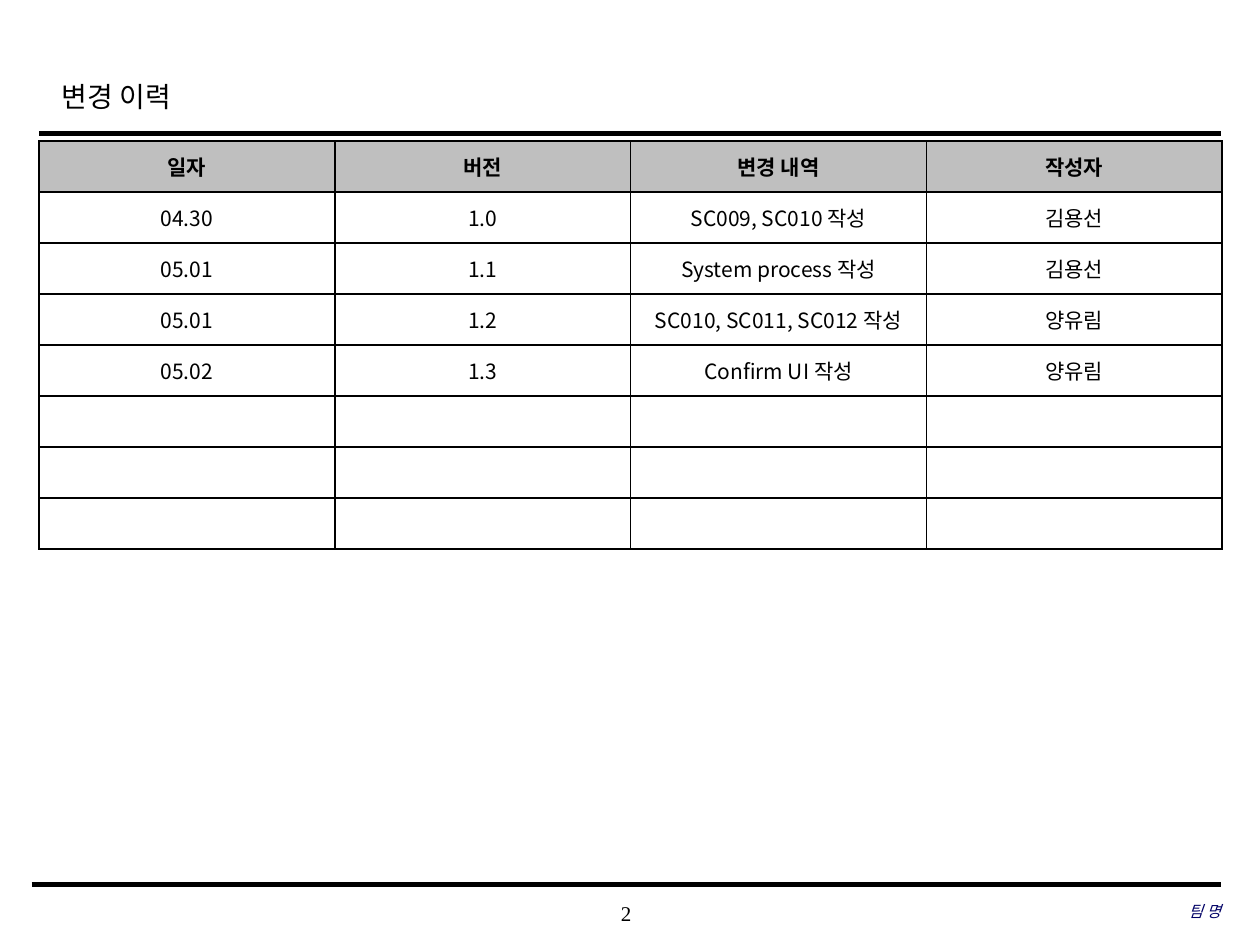
from lxml import etree
from pptx import Presentation
from pptx.dml.color import RGBColor
from pptx.enum.shapes import MSO_CONNECTOR
from pptx.enum.text import MSO_ANCHOR, PP_ALIGN
from pptx.oxml.ns import qn
from pptx.util import Inches, Pt

BLACK = RGBColor(0x00, 0x00, 0x00)
WHITE = RGBColor(0xFF, 0xFF, 0xFF)
HEADER_GRAY = RGBColor(0xBF, 0xBF, 0xBF)
NAVY = RGBColor(0x00, 0x00, 0x66)
LEFT, CENTER, RIGHT = PP_ALIGN.LEFT, PP_ALIGN.CENTER, PP_ALIGN.RIGHT
MIDDLE = MSO_ANCHOR.MIDDLE
STRAIGHT = MSO_CONNECTOR.STRAIGHT
TITLE_ONLY = 5

HISTORY = [
    ("일자", "버전", "변경 내역", "작성자"),
    ("04.30", "1.0", "SC009, SC010 작성", "김용선"),
    ("05.01", "1.1", "System process 작성", "김용선"),
    ("05.01", "1.2", "SC010, SC011, SC012 작성", "양유림"),
    ("05.02", "1.3", "Confirm UI 작성", "양유림"),
]
EMPTY_ROWS = [("",) * 4] * 3


class SlideBuilder:
    """Holds the current slide and its text style."""

    latin_font = "Times New Roman"
    korean_font = "Noto Sans CJK KR"

    def __init__(self, slide):
        """Start building on the given slide."""
        self.slide = slide

    def add_text(self, frame, text, size, align, color=BLACK, bold=False,
                 italic=False, font=None):
        """Add one styled run to the first paragraph of a text frame."""
        paragraph = frame.paragraphs[0]
        paragraph.alignment = align
        run = paragraph.add_run()
        run.text = text
        run.font.name = font or self.latin_font
        run.font.size = Pt(size)
        run.font.bold = bold
        run.font.italic = italic
        run.font.color.rgb = color
        east_asian = etree.Element(qn("a:ea"), typeface=self.korean_font)
        run.font._element.find(qn("a:latin")).addnext(east_asian)
        return paragraph

    def title(self, text, left, top, width, height):
        """Place and fill the title placeholder."""
        shape = self.slide.shapes.title
        shape.left, shape.top = Inches(left), Inches(top)
        shape.width, shape.height = Inches(width), Inches(height)
        shape.text_frame.vertical_anchor = MIDDLE
        paragraph = self.add_text(shape.text_frame, text, 16, LEFT)
        paragraph.line_spacing = 1.2

    def label(self, text, left, top, width, height, size, align, **style):
        """Add a text box without margins."""
        shape = self.slide.shapes.add_textbox(
            Inches(left), Inches(top), Inches(width), Inches(height))
        frame = shape.text_frame
        frame.word_wrap = True
        frame.vertical_anchor = MIDDLE
        frame.margin_left = frame.margin_right = 0
        frame.margin_top = frame.margin_bottom = 0
        self.add_text(frame, text, size, align, **style)

    def rule(self, left, right, top, weight):
        """Draw a horizontal black rule."""
        line = self.slide.shapes.add_connector(
            STRAIGHT, Inches(left), Inches(top), Inches(right), Inches(top))
        line.line.color.rgb = BLACK
        line.line.width = Pt(weight)
        etree.SubElement(line._element.spPr, qn("a:effectLst"))

    def border(self, cell):
        """Outline all four sides of a cell."""
        properties = cell._tc.get_or_add_tcPr()
        for index, side in enumerate(("a:lnL", "a:lnR", "a:lnT", "a:lnB")):
            line = etree.Element(qn(side), w=str(Pt(1)))
            fill = etree.SubElement(line, qn("a:solidFill"))
            etree.SubElement(fill, qn("a:srgbClr"), val=str(BLACK))
            properties.insert(index, line)

    def table(self, rows, left, top, width, height):
        """Add a bordered table with a gray header row."""
        table = self.slide.shapes.add_table(
            len(rows), len(rows[0]), Inches(left), Inches(top),
            Inches(width), Inches(height)).table
        for row_index, row in enumerate(rows):
            is_header = row_index == 0
            for column_index, text in enumerate(row):
                cell = table.cell(row_index, column_index)
                cell.vertical_anchor = MIDDLE
                cell.margin_top = cell.margin_bottom = Inches(0.02)
                cell.fill.solid()
                cell.fill.fore_color.rgb = HEADER_GRAY if is_header else WHITE
                self.border(cell)
                if text:
                    self.add_text(cell.text_frame, text, 12, CENTER,
                                  bold=is_header, font=self.korean_font)


def main():
    """Build the change history slide."""
    presentation = Presentation()
    presentation.slide_width = Inches(10)
    presentation.slide_height = Inches(7.5)
    layout = presentation.slide_layouts[TITLE_ONLY]
    builder = SlideBuilder(presentation.slides.add_slide(layout))

    builder.label("2", 3.93, 7.08, 2.08, 0.33, 12, CENTER)
    builder.rule(0.31, 9.69, 1.06, 2.5)
    builder.rule(0.25, 9.69, 7.02, 3)
    builder.title("변경 이력", 0.39, 0.49, 7.55, 0.5)
    builder.table(HISTORY + EMPTY_ROWS, 0.31, 1.12, 9.39, 3.24)
    builder.label("팀 명", 6.63, 7.07, 3.06, 0.33, 9, RIGHT,
                  color=NAVY, italic=True)

    presentation.save("out.pptx")


main()
